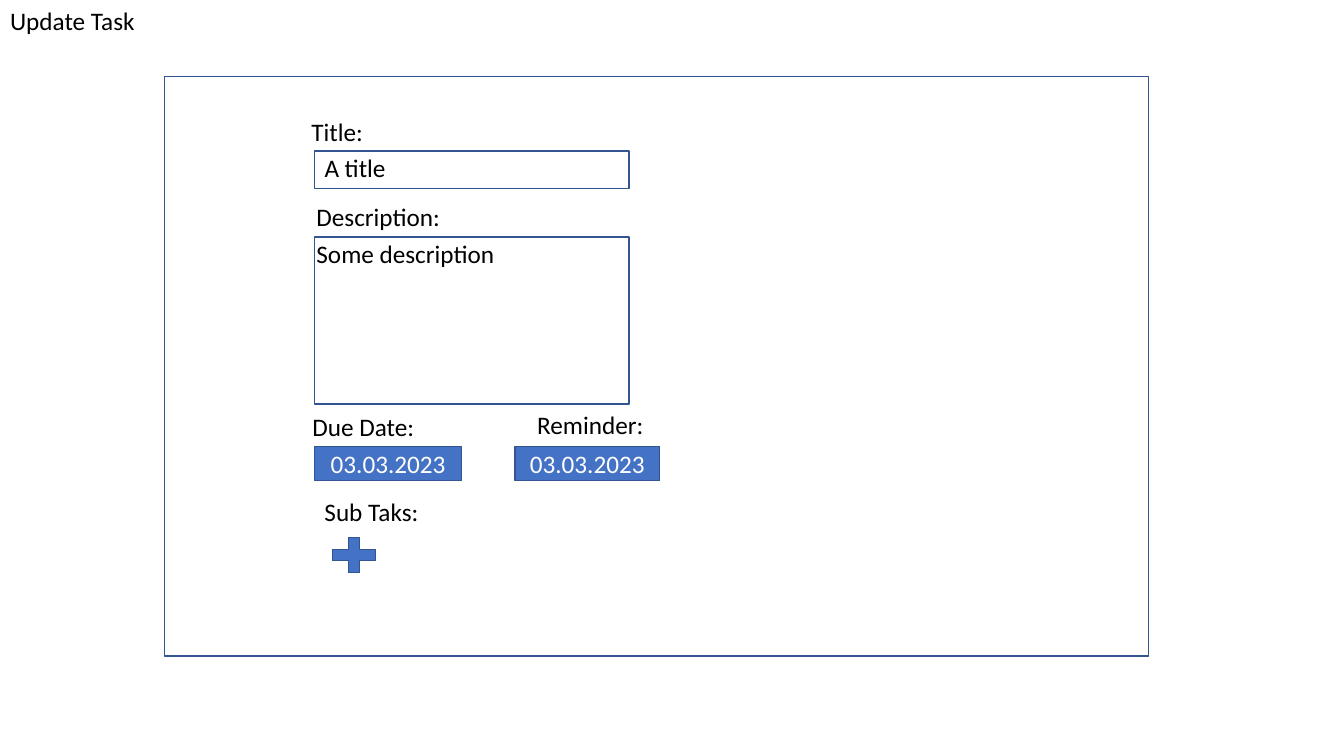
"""Build the Update Task form mock-up slide."""
from pptx import Presentation
from pptx.dml.color import RGBColor
from pptx.enum.shapes import MSO_SHAPE as Shape
from pptx.enum.text import MSO_ANCHOR as Anchor, MSO_AUTO_SIZE as AutoSize, PP_ALIGN as Align
from pptx.util import Inches, Pt

BLUE, OUTLINE, BLACK, WHITE = "4472C4", "325491", "000000", "FFFFFF"
FONT, TEXT_SIZE, LABEL_HEIGHT = "Calibri", 18, 0.4
FIELD_LEFT, FIELD_WIDTH = 3.12, 3.12
DATE_TOP, DATE_HEIGHT = 4.43, 0.34

HEADING = "Update Task"
FRAMES = [
    (1.63, 0.76, 9.76, 5.75),
    (FIELD_LEFT, 1.5, FIELD_WIDTH, 0.37),
    (FIELD_LEFT, 2.35, FIELD_WIDTH, 1.66),
]
LABELS = [
    ("Title:", 2.99, 1.11, 0.72),
    ("A title", FIELD_LEFT, 1.46, 0.82),
    ("Description:", 3.04, 1.95, 1.44),
    ("Some description", 3.04, 2.32, 1.99),
    ("Due Date:", 3, 4.03, 1.23),
    ("Reminder:", 5.23, 4.01, 1.27),
    ("Sub Taks:", FIELD_LEFT, 4.87, 1.23),
]
DATES = [("03.03.2023", FIELD_LEFT, 1.46), ("03.03.2023", 5.11, 1.43)]
ADD_BUTTON = (3.22, 5.27, 0.58, 0.47)


def rgb(color):
    return RGBColor.from_string(color)


def write(frame, text, color, align, anchor):
    frame.text = text
    frame.vertical_anchor = anchor
    paragraph = frame.paragraphs[0]
    paragraph.alignment = align
    paragraph.line_spacing = 1
    font = paragraph.runs[0].font
    font.name, font.size, font.color.rgb = FONT, Pt(TEXT_SIZE), rgb(color)


def write_label(frame, text):
    write(frame, text, BLACK, Align.LEFT, Anchor.TOP)
    frame.word_wrap = False
    frame.auto_size = AutoSize.SHAPE_TO_FIT_TEXT


def add_box(slide, kind, place, fill=None):
    box = slide.shapes.add_shape(kind, *map(Inches, place))
    box.shadow.inherit = False
    box.line.color.rgb, box.line.width = rgb(OUTLINE), Pt(1)
    if fill:
        box.fill.solid()
        box.fill.fore_color.rgb = rgb(fill)
    else:
        box.fill.background()
    return box


def main():
    deck = Presentation()
    deck.slide_width, deck.slide_height = Inches(13.33), Inches(7.5)
    slide = deck.slides.add_slide(deck.slide_layouts[5])

    heading = slide.shapes.title
    heading.left, heading.top = Inches(0), Inches(0)
    heading.width, heading.height = Inches(1.45), Inches(LABEL_HEIGHT)
    write_label(heading.text_frame, HEADING)

    for place in FRAMES:
        add_box(slide, Shape.RECTANGLE, place)
    for text, left, top, width in LABELS:
        label = slide.shapes.add_textbox(*map(Inches, (left, top, width, LABEL_HEIGHT)))
        write_label(label.text_frame, text)
    for date, left, width in DATES:
        button = add_box(slide, Shape.RECTANGLE, (left, DATE_TOP, width, DATE_HEIGHT), BLUE)
        write(button.text_frame, date, WHITE, Align.CENTER, Anchor.MIDDLE)
    add_box(slide, Shape.MATH_PLUS, ADD_BUTTON, BLUE)

    deck.save("out.pptx")


if __name__ == "__main__":
    main()
